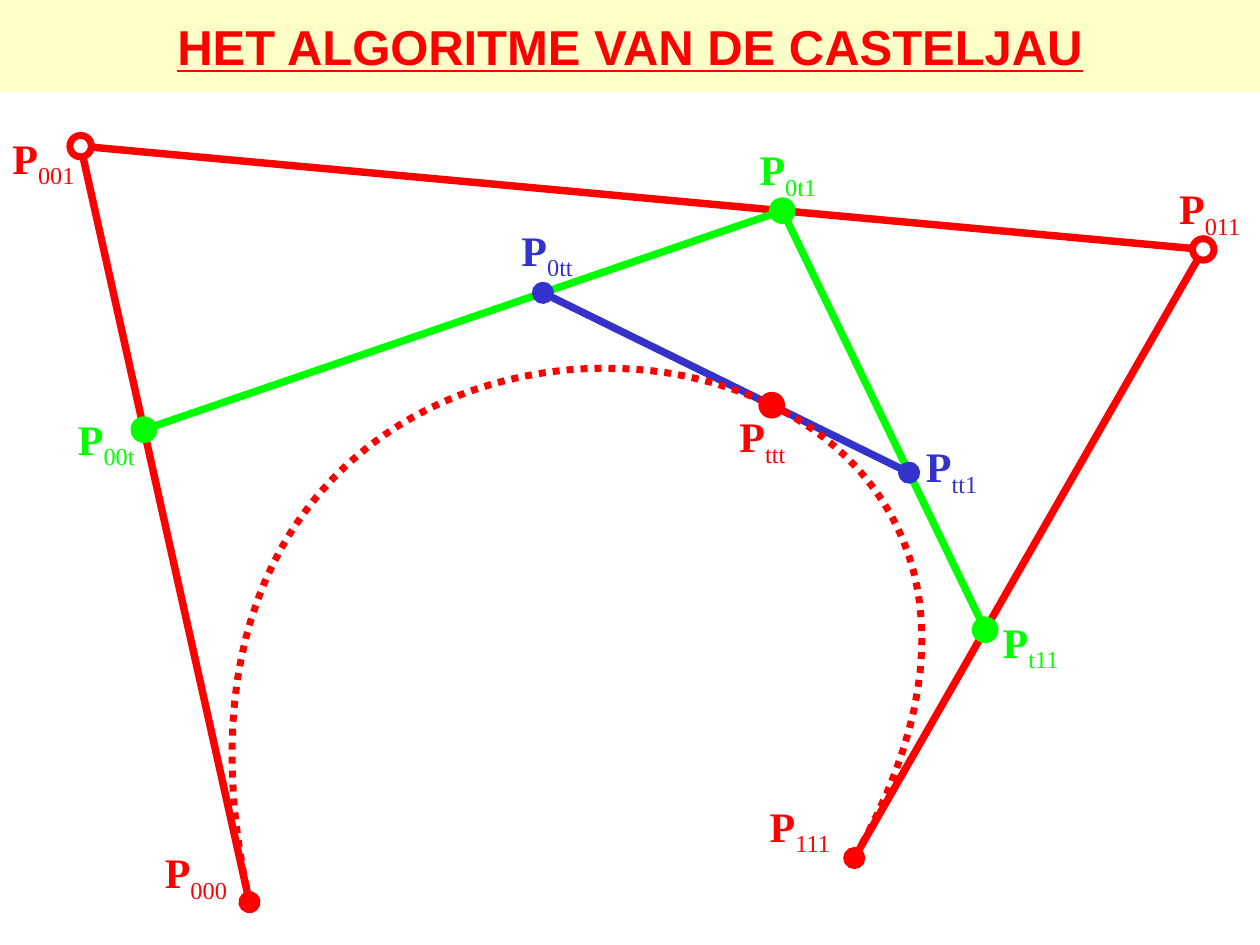
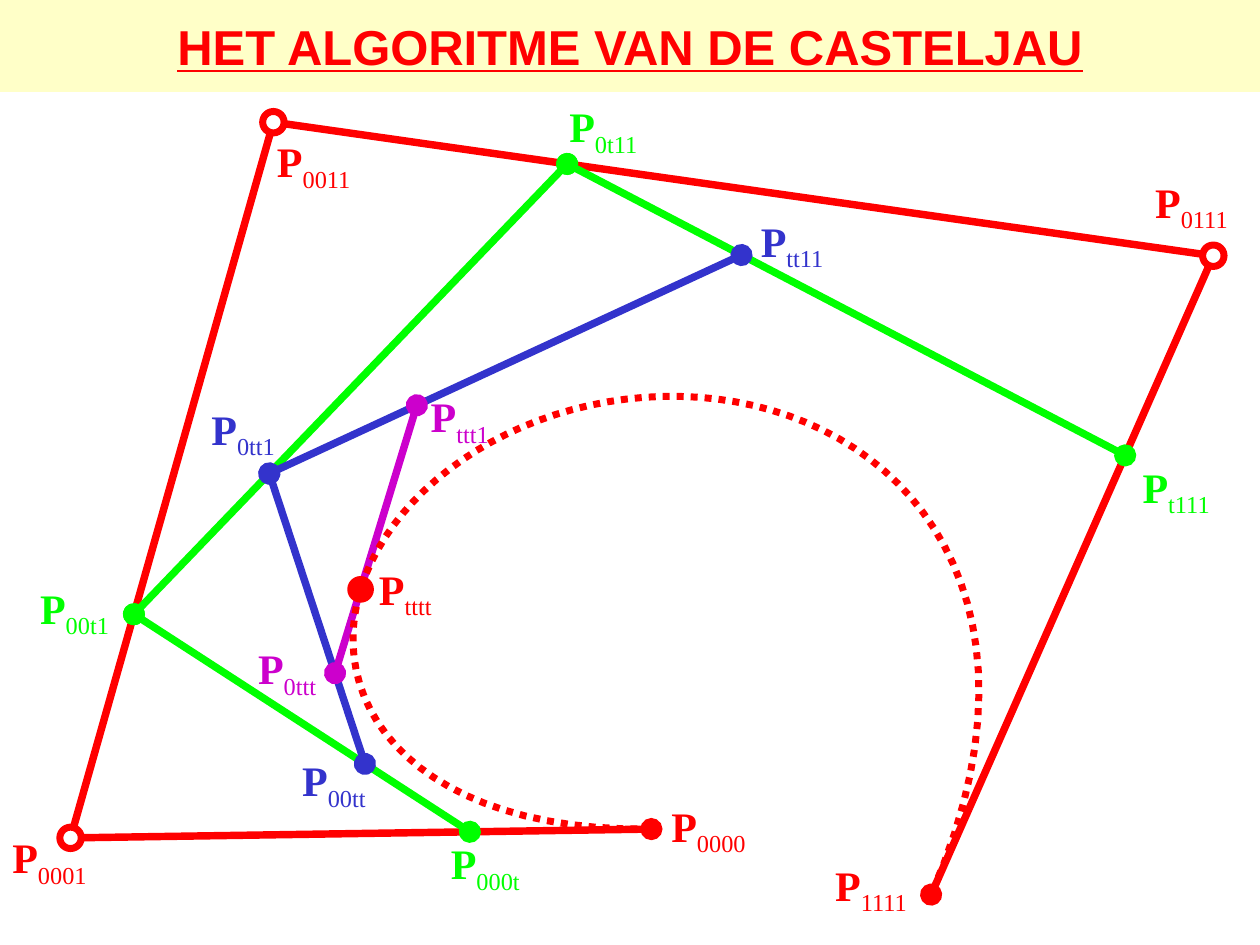
import lxml.etree
import pptx
import pptx.dml.color
import pptx.enum.dml
import pptx.enum.shapes
import pptx.enum.text
import pptx.oxml.ns
import pptx.util

Inches = pptx.util.Inches
Pt = pptx.util.Pt
RGBColor = pptx.dml.color.RGBColor
qn = pptx.oxml.ns.qn

RED = RGBColor(0xFF, 0x00, 0x00)
GREEN = RGBColor(0x00, 0xFF, 0x00)
BLUE = RGBColor(0x33, 0x33, 0xCC)
MAGENTA = RGBColor(0xCC, 0x00, 0xCC)
WHITE = RGBColor(0xFF, 0xFF, 0xFF)
CREAM = RGBColor(0xFF, 0xFF, 0xC8)
LEVEL_COLOURS = [RED, GREEN, BLUE, MAGENTA]

HEADING = "HET ALGORITME VAN DE CASTELJAU"
TITLE_ONLY = 5
DOT_SIZE = 0.17
CURVE_STEPS = 80

CUBIC = {
    "control": [(1.98, 7.16), (0.64, 1.16), (9.55, 1.98), (6.78, 6.81)],
    "t": 5 / 8,
    "label_size": (1.52, 0.68),
    "big_dot_levels": (1, 3),
    "labels": {
        "000": (1.21, 6.67), "001": (0, 1), "011": (9.26, 1.4), "111": (6.01, 6.3),
        "00t": (0.52, 3.23), "0t1": (5.93, 1.09), "t11": (7.86, 4.84),
        "0tt": (4.04, 1.73), "tt1": (7.25, 3.45),
        "ttt": (5.77, 3.21),
    },
}
QUARTIC = {
    "control": [(5.17, 6.58), (0.56, 6.65), (2.17, 0.97), (9.63, 2.03), (7.39, 7.1)],
    "t": 5 / 16,
    "label_size": (1.8, 0.51),
    "big_dot_levels": (4,),
    "labels": {
        "0000": (5.23, 6.3), "0001": (0, 6.55), "0011": (2.1, 1.03),
        "0111": (9.07, 1.35), "1111": (6.53, 6.77),
        "000t": (3.48, 6.6), "00t1": (0.22, 4.57), "0t11": (4.42, 0.75), "t111": (8.97, 3.61),
        "00tt": (2.3, 5.94), "0tt1": (1.58, 3.15), "tt11": (5.94, 1.66),
        "0ttt": (1.95, 5.05), "ttt1": (3.32, 3.05),
        "tttt": (2.91, 4.42),
    },
}


def casteljau_levels(control, t):
    levels = [control]
    while len(levels[-1]) > 1:
        points = levels[-1]
        levels.append([
            ((1 - t) * x0 + t * x1, (1 - t) * y0 + t * y1)
            for (x0, y0), (x1, y1) in zip(points, points[1:])
        ])
    return levels


def add_text(paragraph, text, *, size, font, colour, bold=False, underline=False, baseline=None):
    run = paragraph.add_run()
    run.text = text
    run.font.size = Pt(size)
    run.font.name = font
    run.font.color.rgb = colour
    run.font.bold = bold
    run.font.underline = underline
    if baseline is not None:
        run.font._element.set("baseline", str(baseline))


def add_title_band(slide):
    title = slide.shapes.title
    title.left, title.top = Inches(0), Inches(0)
    title.width, title.height = Inches(10), Inches(0.73)
    title.fill.solid()
    title.fill.fore_color.rgb = CREAM
    frame = title.text_frame
    frame.vertical_anchor = pptx.enum.text.MSO_ANCHOR.MIDDLE
    frame.paragraphs[0].alignment = pptx.enum.text.PP_ALIGN.CENTER
    add_text(frame.paragraphs[0], HEADING, size=28, font="Arial", colour=RED,
             bold=True, underline=True)


def add_label(slide, subscript, position, size, colour):
    label = slide.shapes.add_textbox(*map(Inches, position + size))
    label.text_frame.word_wrap = True
    paragraph = label.text_frame.paragraphs[0]
    style = {"size": 24, "font": "Times New Roman", "colour": colour}
    add_text(paragraph, "P", bold=True, **style)
    add_text(paragraph, subscript, baseline=-25000, **style)


def add_segment(slide, start, end, colour, head_dot, tail_dot):
    segment = slide.shapes.add_connector(
        pptx.enum.shapes.MSO_CONNECTOR.STRAIGHT, *map(Inches, start + end))
    segment.line.color.rgb = colour
    segment.line.width = Pt(4.25)
    properties = segment._element.spPr
    outline = properties.find(qn("a:ln"))
    for tag, has_dot in (("a:headEnd", head_dot), ("a:tailEnd", tail_dot)):
        if has_dot:
            lxml.etree.SubElement(outline, qn(tag), type="oval")
    lxml.etree.SubElement(properties, qn("a:effectLst"))


def add_dot(slide, centre, fill, outline, width):
    x, y = centre
    dot = slide.shapes.add_shape(
        pptx.enum.shapes.MSO_SHAPE.OVAL, Inches(x - DOT_SIZE / 2), Inches(y - DOT_SIZE / 2),
        Inches(DOT_SIZE), Inches(DOT_SIZE))
    dot.shadow.inherit = False
    dot.fill.solid()
    dot.fill.fore_color.rgb = fill
    dot.line.color.rgb = outline
    dot.line.width = Pt(width)


def add_curve(slide, control):
    points = [casteljau_levels(control, step / CURVE_STEPS)[-1][0]
              for step in range(CURVE_STEPS + 1)]
    vertices = [(Inches(x), Inches(y)) for x, y in points]
    builder = slide.shapes.build_freeform(*vertices[0])
    builder.add_line_segments(vertices[1:], close=False)
    curve = builder.convert_to_shape()
    curve.shadow.inherit = False
    curve.fill.background()
    curve.line.color.rgb = RED
    curve.line.width = Pt(4)
    curve.line.dash_style = pptx.enum.dml.MSO_LINE.ROUND_DOT


def add_construction(slide, construction):
    control = construction["control"]
    degree = len(control) - 1
    levels = casteljau_levels(control, construction["t"])
    colours = LEVEL_COLOURS[:degree] + [RED]
    big_dot_levels = construction["big_dot_levels"]

    for level, (points, colour) in enumerate(zip(levels, colours)):
        for index, (start, end) in enumerate(zip(points, points[1:])):
            small_dots = level not in big_dot_levels
            add_segment(slide, start, end, colour,
                        head_dot=small_dots and (level > 0 or index == 0),
                        tail_dot=small_dots and (level > 0 or index == degree - 1))

    add_curve(slide, control)
    for point in control[1:-1]:
        add_dot(slide, point, WHITE, RED, 4)
    for level in big_dot_levels:
        for point in levels[level]:
            add_dot(slide, point, colours[level], colours[level], 3)

    for level, colour in enumerate(colours):
        for ones in range(degree - level + 1):
            subscript = "0" * (degree - level - ones) + "t" * level + "1" * ones
            add_label(slide, subscript, construction["labels"][subscript],
                      construction["label_size"], colour)


def main():
    deck = pptx.Presentation()
    deck.slide_width, deck.slide_height = Inches(10), Inches(7.5)
    for construction in (CUBIC, QUARTIC):
        slide = deck.slides.add_slide(deck.slide_layouts[TITLE_ONLY])
        add_title_band(slide)
        add_construction(slide, construction)
    deck.save("out.pptx")


if __name__ == "__main__":
    main()
